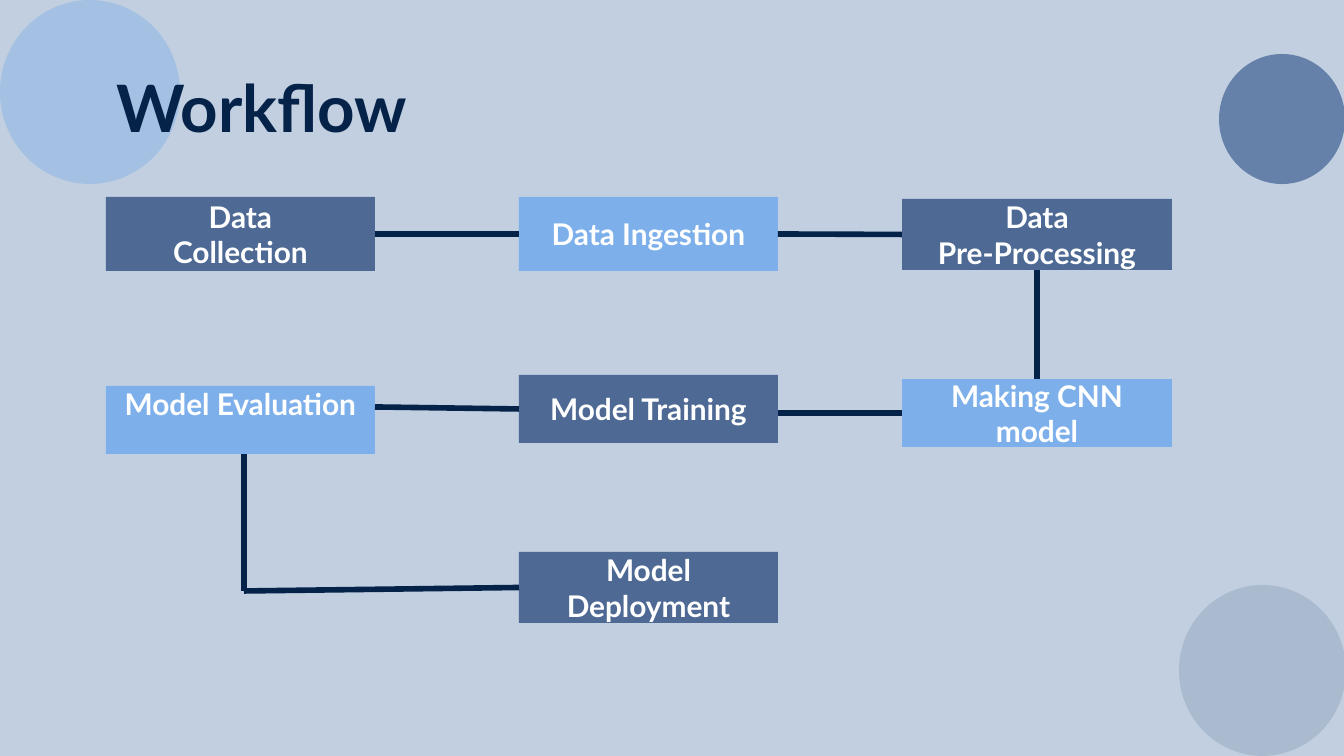
"""Build the Workflow slide: seven linked steps on a pale blue ground."""
from dataclasses import dataclass

from lxml import etree
from pptx import Presentation
from pptx.dml.color import RGBColor
from pptx.enum.shapes import MSO_CONNECTOR, MSO_SHAPE
from pptx.enum.text import MSO_ANCHOR, MSO_AUTO_SIZE, PP_ALIGN
from pptx.oxml.ns import qn
from pptx.util import Emu, Pt

OVAL, RECT = MSO_SHAPE.OVAL, MSO_SHAPE.RECTANGLE
LINE = MSO_CONNECTOR.STRAIGHT
MIDDLE, TOP = MSO_ANCHOR.MIDDLE, MSO_ANCHOR.TOP
CENTER, LEFT = PP_ALIGN.CENTER, PP_ALIGN.LEFT
NO_FIT = MSO_AUTO_SIZE.NONE
BASE, BELOW, WEST, EAST = 0, 2, 1, 3
SCALE = 914400 / 134.4
INSET = 13


@dataclass(frozen=True)
class Theme:
    ground: str = "C1CFE0"
    ink: str = "052249"
    light: str = "7DB0EB"
    dark: str = "4D6994"
    slate: str = "6580A9"
    mist: str = "AABBD0"
    white: str = "FFFFFF"
    font: str = "Lato"
    head: int = 35
    body: int = 16
    rule: int = 3


theme = Theme()


def px(*sizes):
    return [Emu(round(size * SCALE)) for size in sizes]


def write(shape, lines, size, color, align):
    frame = shape.text_frame
    frame.auto_size = NO_FIT
    frame.word_wrap = True
    frame.vertical_anchor = MIDDLE
    frame.margin_left, frame.margin_right, frame.margin_top, frame.margin_bottom = px(*[INSET] * 4)
    for i, line in enumerate(lines):
        para = frame.paragraphs[0] if i == 0 else frame.add_paragraph()
        para.alignment = align
        run = para.add_run()
        run.text = line
        run.font.name = theme.font
        run.font.size = Pt(size)
        run.font.bold = True
        run.font.color.rgb = RGBColor.from_string(color)


deck = Presentation()
deck.slide_width, deck.slide_height = px(1344, 756)
slide = deck.slides.add_slide(deck.slide_layouts[5])
shapes = slide.shapes
ground = slide.background.fill
ground.solid()
ground.fore_color.rgb = RGBColor.from_string(theme.ground)

circles = [
    ((0, 0, 180, 184), theme.light, 42),
    ((1179, 585, 167, 171), theme.mist, 100),
    ((1219, 54, 126, 130), theme.slate, 100),
]
for box, color, alpha in circles:
    circle = shapes.add_shape(OVAL, *px(*box))
    circle.shadow.inherit = False
    circle.line.fill.background()
    circle.fill.solid()
    circle.fill.fore_color.rgb = RGBColor.from_string(color)
    if alpha < 100:
        tint = circle.fill._xPr.find(".//" + qn("a:srgbClr"))
        etree.SubElement(tint, qn("a:alpha"), val=str(alpha * 1000))

title = shapes.title
title.left, title.top, title.width, title.height = px(103, 79, 1134, 54)
write(title, ["Workflow"], theme.head, theme.ink, LEFT)
shapes._spTree.append(title._element)

columns = [(106, 269), (519, 259), (902, 270)]
steps = [
    ("collect", 0, 197, 74, theme.dark, ["Data", "Collection"]),
    ("ingest", 1, 197, 74, theme.light, ["Data Ingestion"]),
    ("prepare", 2, 199, 71, theme.dark, ["Data", "Pre-Processing"]),
    ("make", 2, 379, 68, theme.light, ["Making CNN model"]),
    ("train", 1, 375, 68, theme.dark, ["Model Training"]),
    ("judge", 0, 386, 68, theme.light, ["Model Evaluation"]),
    ("deploy", 1, 552, 71, theme.dark, ["Model Deployment"]),
]
boxes = {}
for name, column, top, height, color, lines in steps:
    left, width = columns[column]
    box = shapes.add_shape(RECT, *px(left, top, width, height))
    box.shadow.inherit = False
    box.line.fill.background()
    box.fill.solid()
    box.fill.fore_color.rgb = RGBColor.from_string(color)
    write(box, lines, theme.body, theme.white, CENTER)
    boxes[name] = box
boxes["judge"].text_frame.vertical_anchor = TOP
boxes["judge"].text_frame.margin_top = 0

links = [
    ((375, 234, 519, 234), ("collect", EAST), ("ingest", WEST)),
    ((778, 234, 902, 234), ("ingest", EAST), ("prepare", WEST)),
    ((1037, 270, 1037, 379), ("prepare", BELOW), ("make", BASE)),
    ((778, 413, 902, 413), None, ("make", WEST)),
    ((375, 407, 519, 409), None, ("train", WEST)),
    ((244, 591, 519, 587), None, ("deploy", WEST)),
    ((244, 591, 244, 454), None, None),
]
for ends, start, stop in links:
    link = shapes.add_connector(LINE, *px(*ends))
    link.line.color.rgb = RGBColor.from_string(theme.ink)
    link.line.width = Pt(theme.rule)
    etree.SubElement(link._element.spPr, qn("a:effectLst"))
    if start:
        link.begin_connect(boxes[start[0]], start[1])
    if stop:
        link.end_connect(boxes[stop[0]], stop[1])

deck.save("out.pptx")
